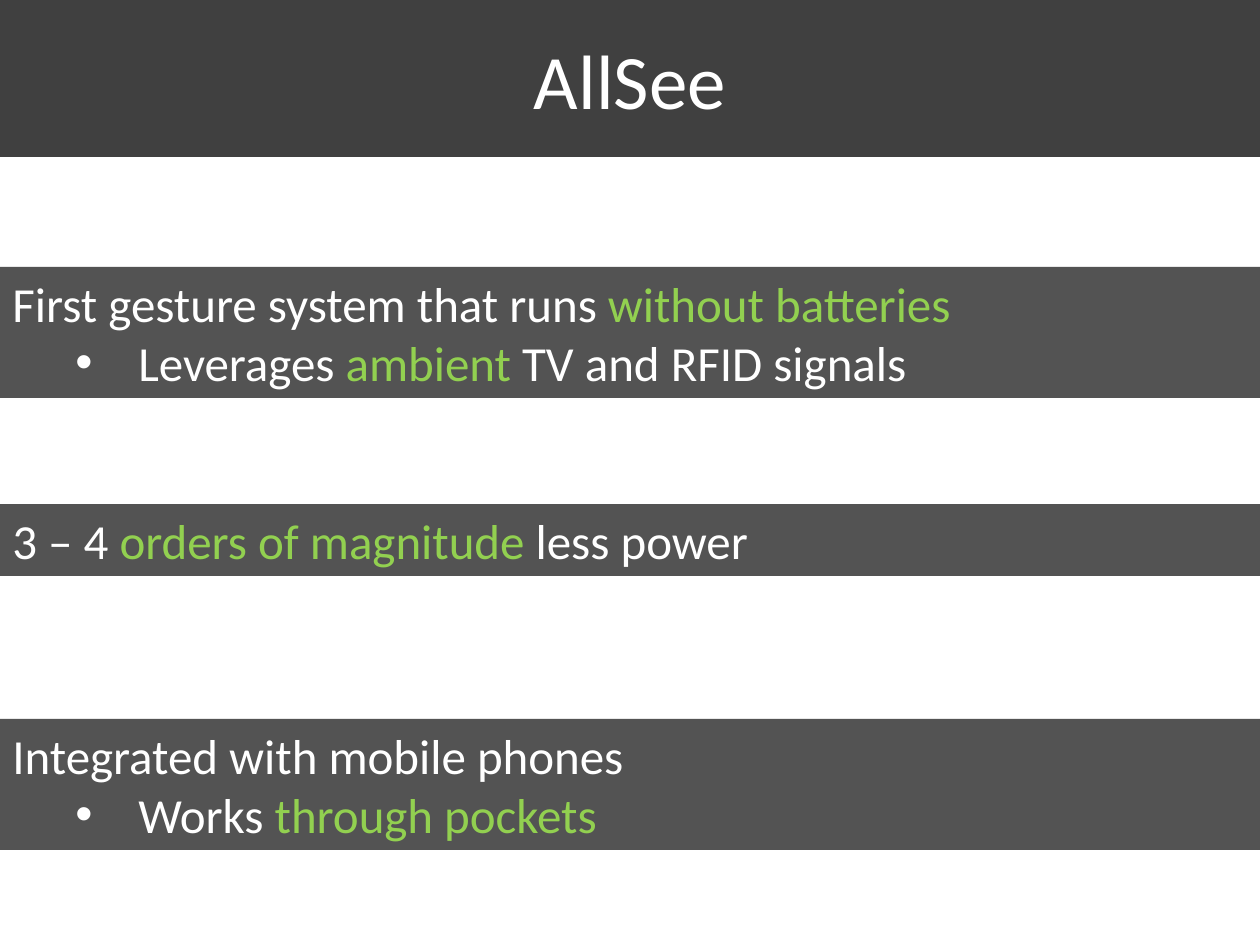
from dataclasses import dataclass

import lxml.etree
import pptx
import pptx.dml.color
import pptx.enum.shapes
import pptx.enum.text
import pptx.oxml.ns
import pptx.util


@dataclass(frozen=True)
class Theme:
    font: str = "Calibri"
    title_size: int = 44
    body_size: int = 28
    title_fill: str = "404040"
    band_fill: str = "0D0D0D"
    band_opacity: int = 71
    text: str = "FFFFFF"
    accent: str = "92D050"


THEME = Theme()
PX = 914400 / 126
WIDTH, HEIGHT = 1260, 945
TITLE_HEIGHT = 157
LINE_HEIGHT, BAND_PADDING = 59, 13
BULLET_MARGIN, BULLET_HANG = 126, 63

TITLE = "AllSee"
# Each band: its top, then lines of (level, spans); a span is (text, is accented).
BANDS = [
    (267, [
        (0, [("First gesture system that runs ", False), ("without batteries", True)]),
        (1, [("Leverages", False), (" ambient ", True), ("TV and RFID signals", False)]),
    ]),
    (504, [
        (0, [("3 – 4 ", False), ("orders of magnitude ", True), ("less power", False)]),
    ]),
    (719, [
        (0, [("Integrated with mobile phones", False)]),
        (1, [("Works ", False), ("through pockets", True)]),
    ]),
]


def px(length):
    return pptx.util.Emu(round(length * PX))


def rgb(color):
    return pptx.dml.color.RGBColor.from_string(color)


def add_child(parent, tag, **attributes):
    return lxml.etree.SubElement(parent, pptx.oxml.ns.qn(tag), **attributes)


def add_band(slide, top, height, fill, anchor):
    """Add a full-width rectangle ready for text."""
    band = slide.shapes.add_shape(
        pptx.enum.shapes.MSO_SHAPE.RECTANGLE, 0, px(top), px(WIDTH), px(height))
    band.shadow.inherit = False
    band.fill.solid()
    band.fill.fore_color.rgb = rgb(fill)
    band.line.fill.background()
    band.text_frame.word_wrap = True
    band.text_frame.vertical_anchor = anchor
    return band


def add_span(para, text, size, color):
    span = para.add_run()
    span.text = text
    span.font.name = THEME.font
    span.font.size = pptx.util.Pt(size)
    span.font.color.rgb = rgb(color)


def add_bullet(para):
    properties = para._p.get_or_add_pPr()
    properties.set("marL", str(px(BULLET_MARGIN)))
    properties.set("indent", str(-px(BULLET_HANG)))
    add_child(properties, "a:buFont", typeface="Arial")
    add_child(properties, "a:buChar", char="•")


def add_title(slide):
    band = add_band(slide, 0, TITLE_HEIGHT, THEME.title_fill,
                    pptx.enum.text.MSO_ANCHOR.MIDDLE)
    para = band.text_frame.paragraphs[0]
    para.alignment = pptx.enum.text.PP_ALIGN.CENTER
    add_span(para, TITLE, THEME.title_size, THEME.text)


def add_statement(slide, top, lines):
    band = add_band(slide, top, BAND_PADDING + LINE_HEIGHT * len(lines),
                    THEME.band_fill, pptx.enum.text.MSO_ANCHOR.TOP)
    color = band.fill._xPr.find(".//" + pptx.oxml.ns.qn("a:srgbClr"))
    add_child(color, "a:alpha", val=str(THEME.band_opacity * 1000))
    frame = band.text_frame
    frame.auto_size = pptx.enum.text.MSO_AUTO_SIZE.SHAPE_TO_FIT_TEXT
    for index, (level, spans) in enumerate(lines):
        para = frame.add_paragraph() if index else frame.paragraphs[0]
        para.alignment = pptx.enum.text.PP_ALIGN.LEFT
        para.level = level
        if level:
            add_bullet(para)
        for text, accented in spans:
            add_span(para, text, THEME.body_size,
                     THEME.accent if accented else THEME.text)


def main():
    deck = pptx.Presentation()
    deck.slide_width, deck.slide_height = px(WIDTH), px(HEIGHT)
    slide = deck.slides.add_slide(deck.slide_layouts[6])
    add_title(slide)
    for top, lines in BANDS:
        add_statement(slide, top, lines)
    deck.save("out.pptx")


if __name__ == "__main__":
    main()
